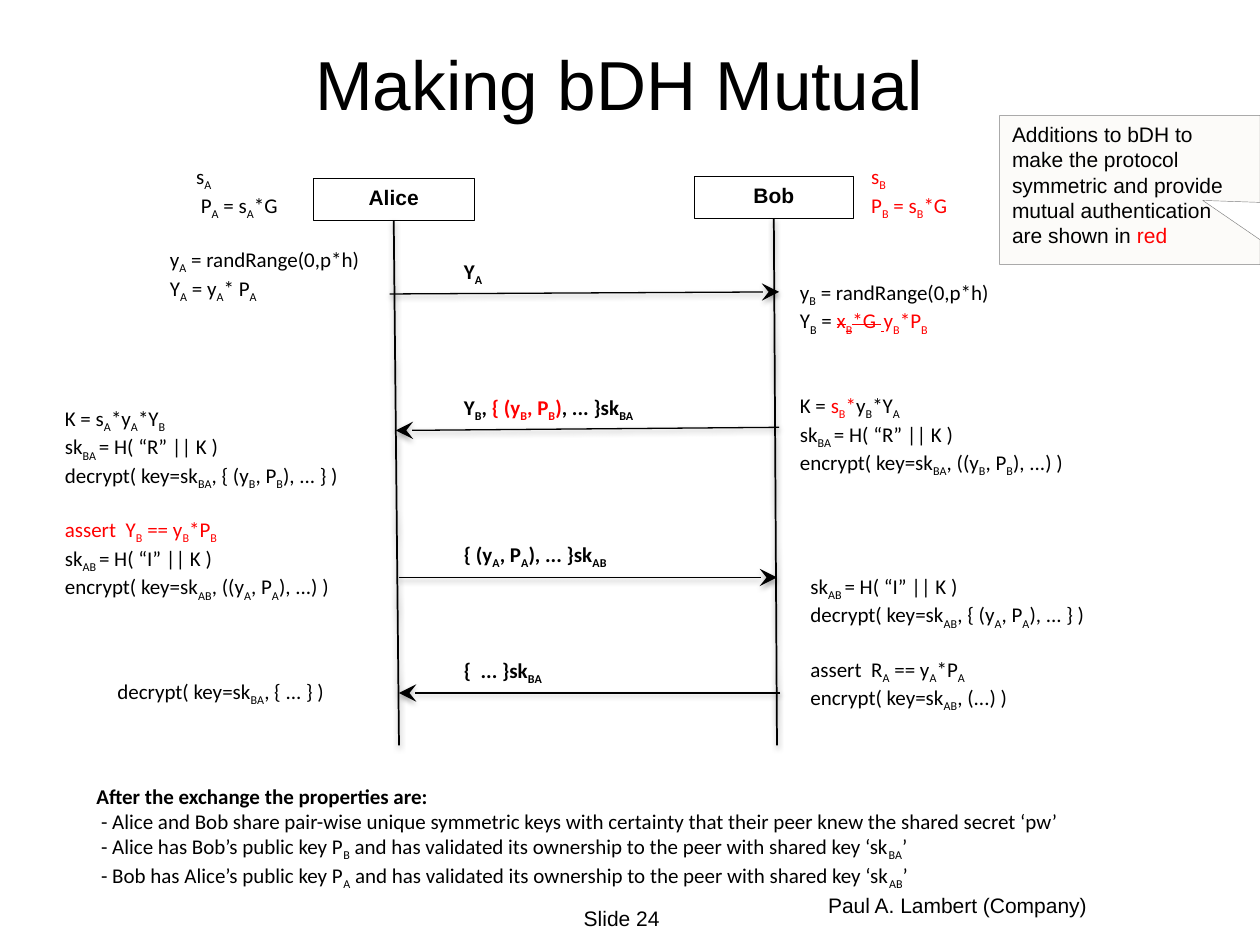
import pptx
import pptx.dml.color
import pptx.enum.shapes
import pptx.enum.text
import pptx.oxml
import pptx.oxml.ns
import pptx.util

RGB = pptx.dml.color.RGBColor
BLACK = RGB(0x00, 0x00, 0x00)
RED = RGB(0xFF, 0x00, 0x00)
WHITE = RGB(0xFF, 0xFF, 0xFF)
CREAM = RGB(0xFC, 0xFB, 0xF9)
GREY = RGB(0x7F, 0x7F, 0x7F)
SHAPE = pptx.enum.shapes.MSO_SHAPE
ALIGN = pptx.enum.text.PP_ALIGN
ANCHOR = pptx.enum.text.MSO_ANCHOR
SUB, HOT, CUT, HEAVY = "~^¬§"
COLS = 120
LINE = 14.65

SHADOW = (
    f'<a:effectLst {pptx.oxml.ns.nsdecls("a")}>'
    '<a:outerShdw blurRad="40000" dist="20000" dir="5400000" rotWithShape="0">'
    '<a:srgbClr val="000000"><a:alpha val="38000"/></a:srgbClr>'
    '</a:outerShdw></a:effectLst>'
)
ARROW = f'<a:tailEnd {pptx.oxml.ns.nsdecls("a")} type="stealth" w="lg" len="lg"/>'


def split(line):
    marks, piece = set(), ""
    for char in line:
        if char in (SUB, HOT, CUT, HEAVY):
            if piece:
                yield piece, set(marks)
            marks ^= {char}
            piece = ""
        else:
            piece += char
    if piece:
        yield piece, marks


def write(frame, lines, size=12, font="Calibri", bold=False,
          align=ALIGN.LEFT, anchor=ANCHOR.TOP, wrap=True, gaps=None):
    frame.word_wrap = wrap
    frame.vertical_anchor = anchor
    for index, line in enumerate(lines):
        para = frame.paragraphs[0] if index == 0 else frame.add_paragraph()
        para.alignment = align
        para.space_before = pptx.util.Pt((gaps or {}).get(index, 0))
        for piece, marks in split(line):
            run = para.add_run()
            run.text = piece
            run.font.size = pptx.util.Pt(size)
            run.font.name = font
            run.font.bold = bold or HEAVY in marks
            run.font.color.rgb = RED if HOT in marks else BLACK
            props = run._r.get_or_add_rPr()
            if SUB in marks:
                props.set("baseline", "-25000")
            if CUT in marks:
                props.set("strike", "sngStrike")


class Board:
    def __init__(self, deck):
        self.cell = deck.slide_width / COLS
        self.slide = deck.slides.add_slide(deck.slide_layouts[6])

    def grid(self, *cells):
        return [round(n * self.cell) for n in cells]

    def text(self, area, *lines, **style):
        box = self.slide.shapes.add_textbox(*self.grid(*area))
        write(box.text_frame, lines, **style)

    def box(self, area, *lines, kind=SHAPE.RECTANGLE, fill=WHITE,
            edge=BLACK, tip=(), **style):
        box = self.slide.shapes.add_shape(kind, *self.grid(*area))
        box.shadow.inherit = False
        box.fill.solid()
        box.fill.fore_color.rgb = fill
        if edge is None:
            box.line.fill.background()
        else:
            box.line.color.rgb = edge
            box.line.width = pptx.util.Pt(0.25)
        for index, value in enumerate(tip):
            box.adjustments[index] = value
        write(box.text_frame, lines, **style)
        return box

    def line(self, start, end, width=0.75, arrow=True):
        line = self.slide.shapes.add_connector(
            pptx.enum.shapes.MSO_CONNECTOR.STRAIGHT, *self.grid(*start, *end))
        line.line.color.rgb = BLACK
        line.line.width = pptx.util.Pt(width)
        if arrow:
            line.line._get_or_add_ln().append(pptx.oxml.parse_xml(ARROW))
        line._element.spPr.append(pptx.oxml.parse_xml(SHADOW))
        return line

    def actor(self, name, area, foot):
        box = self.box(area, name, font="Arial", bold=True, align=ALIGN.CENTER)
        left, top, width, height = area
        life = self.line((left + width / 2, top + height), foot, 1, False)
        life.begin_connect(box, 2)

    def message(self, label, row, start, end):
        self.text((43, row, 25.8, 3.6), label, bold=True)
        self.line(start, end)


def main():
    deck = pptx.Presentation()
    deck.slide_width = pptx.util.Inches(10)
    deck.slide_height = pptx.util.Inches(7.5)
    board = Board(deck)

    board.text((8, 4, 102, 7.7), "Making bDH Mutual", size=39.6, font="Arial",
               align=ALIGN.CENTER, anchor=ANCHOR.MIDDLE)
    board.box((8, 74, 112, 13.3),
              "§After the exchange the properties are:§",
              " - Alice and Bob share pair-wise unique symmetric keys with certainty"
              " that their peer knew the shared secret ‘pw’",
              " - Alice has Bob’s public key P~B~ and has validated its ownership"
              " to the peer with shared key ‘sk~BA~’",
              " - Bob has Alice’s public key P~A~ and has validated its ownership"
              " to the peer with shared key ‘sk~AB~’",
              edge=None)

    board.actor("Alice", (29.8, 17, 15.4, 4), (38, 71))
    board.actor("Bob", (66.1, 16.8, 15.2, 4), (74, 71))

    for label, row, start, end in (
        ("Y~A~", 24, (37.1, 28), (74.2, 27.8)),
        ("Y~B~, ^{ (y~B~, P~B~)^, ... }sk~BA~", 37, (74.2, 40.7), (37.7, 41)),
        ("{ (y~A~, P~A~), ... }sk~AB~", 51, (38, 55), (74, 55)),
        ("{  ... }sk~BA~", 62, (74.3, 66), (38, 66)),
    ):
        board.message(label, row, start, end)

    board.text((17.5, 15, 11.6, 6.1), "s~A~", " P~A~ = s~A~*G")
    board.text((81.8, 15, 11.3, 6.1), "^s~B~^", "^P~B~ = s~B~*G^", wrap=False)
    board.text((15, 22.9, 26, 6.1),
               "y~A~ = randRange(0,p*h)", "Y~A~ = y~A~* P~A~")
    board.text((75, 26, 33, 17.4),
               "y~B~ = randRange(0,p*h)",
               "Y~B~ = ^¬x~B~*G ~ ~¬y~B~*P~B~^",
               "K = ^s~B~*^y~B~*Y~A~",
               "sk~BA ~= H( “R” || K )",
               "encrypt( key=sk~BA~, ((y~B~, P~B~), ...) )",
               gaps={2: 32})
    board.text((5, 38, 33, 18.1),
               "K = s~A~*y~A~*Y~B~",
               "sk~BA ~= H( “R” || K )",
               "decrypt( key=sk~BA~, { (y~B~, P~B~), ... } )",
               "^assert  Y~B~ == y~B~*P~B~^",
               "sk~AB ~= H( “I” || K )",
               "encrypt( key=sk~AB~, ((y~A~, P~A~), ...) )",
               gaps={3: LINE})
    board.text((76, 54, 33, 13.3),
               "sk~AB ~= H( “I” || K )",
               "decrypt( key=sk~AB~, { (y~A~, P~A~), ... } )",
               "assert  R~A~ == y~A~*P~A~",
               "encrypt( key=sk~AB~, (...) )",
               gaps={2: LINE})
    board.text((10, 64, 33, 3.6), "decrypt( key=sk~BA~, { ... } )")

    board.text((53.4, 85, 10.6, 4.8), "Slide 24", font="Arial",
               align=ALIGN.RIGHT, anchor=ANCHOR.MIDDLE)
    board.text((70.3, 85, 41.8, 2.4), "Paul A. Lambert (Company)", font="Arial",
               align=ALIGN.CENTER, anchor=ANCHOR.MIDDLE)
    board.box((95.2, 11, 24.8, 14.2),
              "Additions to bDH to make the protocol symmetric and provide"
              " mutual authentication are shown in ^red^",
              kind=SHAPE.RECTANGULAR_CALLOUT, fill=CREAM, edge=GREY,
              tip=(0.28, 0.07), font="Arial")
    deck.save("out.pptx")


if __name__ == "__main__":
    main()
